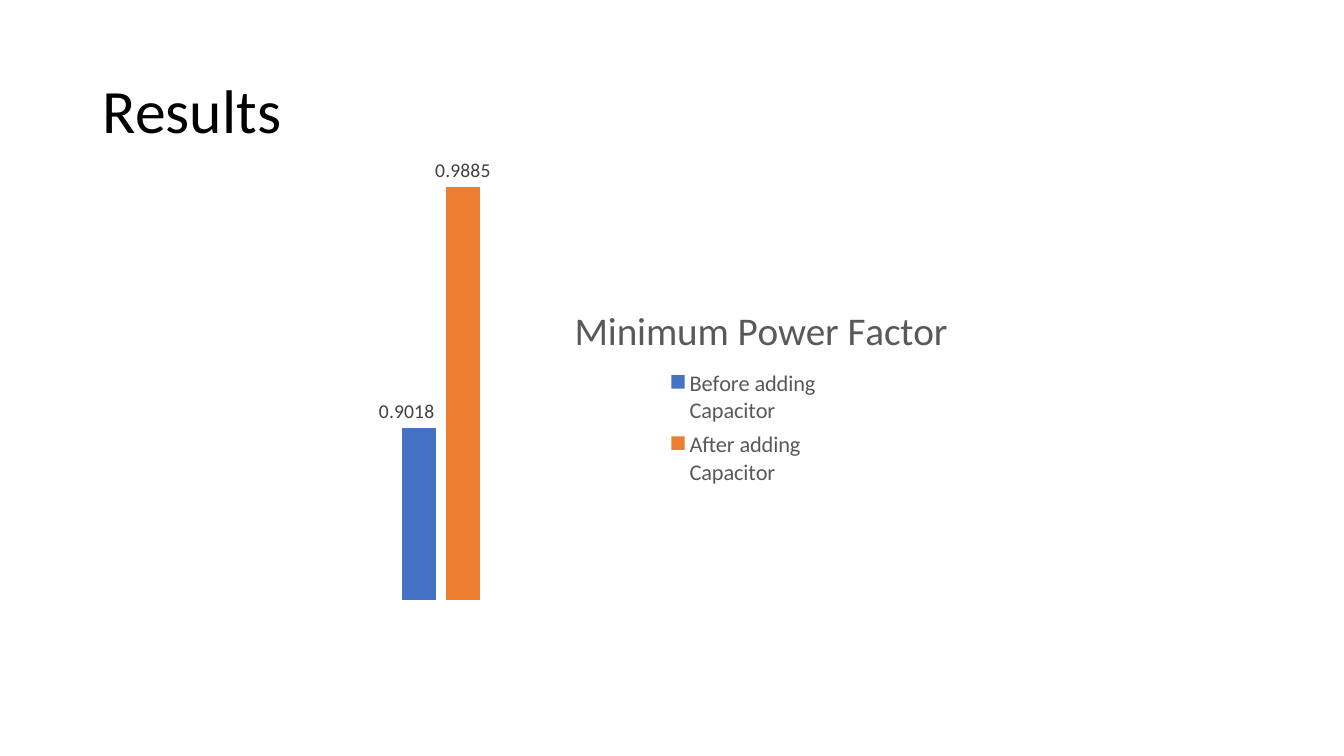
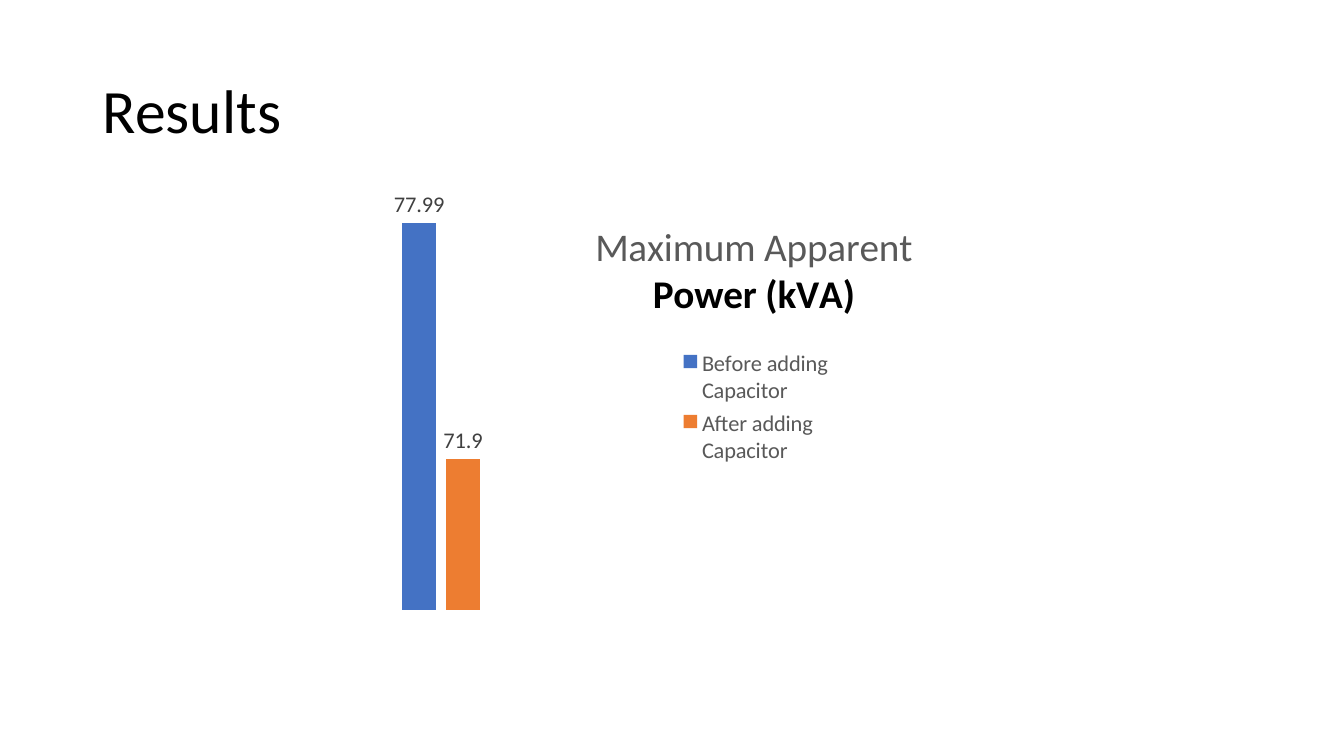
from lxml import etree
from pptx import Presentation
from pptx import util as u
from pptx.chart.data import CategoryChartData
from pptx.dml.color import RGBColor
from pptx.enum import chart as c, text as t
from pptx.oxml.ns import qn

COLORS = {
    "title": "000000",
    "before": "4472C4",
    "after": "ED7D31",
    "caption": "595959",
    "label": "404040",
}
FONT = "Calibri"
SERIES = {"before": "Before adding Capacitor", "after": "After adding Capacitor"}
CATEGORY_COUNT = 4  # only the first category holds values

RESULTS = [
    {
        "top": 1.54, "height": 4.41,
        "values": {"before": 0.9018, "after": 0.9885},
        "scale": (0.84, 1.0),
        "caption": [("Minimum Power Factor", "caption", False)],
        "caption_at": {"x": 0.33, "y": 0.32},
        "legend_at": {"x": 0.48, "y": 0.47, "w": 0.27, "h": 0.29},
        "label_size": 14,
        "label_shift": {"before": -0.02},
    },
    {
        "top": 1.44, "height": 4.61,
        "values": {"before": 77.99, "after": 71.9},
        "scale": (68, 80),
        "caption": [("Maximum Apparent", "caption", False),
                    ("Power (kVA)", "title", True)],
        "caption_at": {"x": 0.37, "y": 0.16},
        "legend_at": {"x": 0.5, "y": 0.43, "w": 0.27, "h": 0.27},
        "label_size": 16,
        "label_shift": {},
    },
]


def style_font(font, size, color, bold=False):
    font.name = FONT
    font.size = u.Pt(size)
    font.bold = bold
    font.color.rgb = RGBColor.from_string(COLORS[color])


def manual_layout(fractions, target=None, edge=True):
    """Return a c:layout; with edge, x and y count from the chart's corner."""
    layout = etree.Element(qn("c:layout"))
    manual = etree.SubElement(layout, qn("c:manualLayout"))
    settings = {"layoutTarget": target} if target else {}
    if edge:
        settings.update(xMode="edge", yMode="edge")
    settings.update(fractions)
    for name, value in settings.items():
        etree.SubElement(manual, qn("c:" + name)).set("val", str(value))
    return layout


def place(element, fractions):
    """Give a chart title or legend a fixed place."""
    for layout in element.findall(qn("c:layout")):
        element.remove(layout)
    element.find(qn("c:overlay")).addprevious(manual_layout(fractions))


def fill_plot_area(chart):
    plot_area = chart._chartSpace.chart.plotArea
    for layout in plot_area.findall(qn("c:layout")):
        plot_area.remove(layout)
    plot_area.insert(0, manual_layout({"x": 0, "y": 0, "w": 1, "h": 1}, "inner"))


def add_title(slide, wording):
    title = slide.shapes.title
    title.left, title.top = u.Inches(0.92), u.Inches(0.4)
    title.width, title.height = u.Inches(11.5), u.Inches(1.45)
    frame = title.text_frame
    frame.text = wording
    frame.vertical_anchor = t.MSO_ANCHOR.MIDDLE
    frame.auto_size = t.MSO_AUTO_SIZE.NONE
    paragraph = frame.paragraphs[0]
    paragraph.alignment = t.PP_ALIGN.LEFT
    paragraph.line_spacing = 0.9
    style_font(paragraph.runs[0].font, 44, "title")


def add_caption(chart, lines, position):
    chart.has_title = True
    frame = chart.chart_title.text_frame
    frame.text = "\n".join(wording for wording, _, _ in lines)
    for paragraph, (_, color, bold) in zip(frame.paragraphs, lines):
        style_font(paragraph.runs[0].font, 28, color, bold)
    place(chart.chart_title._element, position)


def add_legend(chart, position):
    chart.has_legend = True
    legend = chart.legend
    legend.position = c.XL_LEGEND_POSITION.RIGHT
    legend.include_in_layout = False
    style_font(legend.font, 16, "caption")
    place(legend._element, position)


def shift_first_label(series, size, shift):
    label = series.points[0].data_label
    style_font(label.font, size, "label")
    label.position = c.XL_LABEL_POSITION.OUTSIDE_END
    index = series._element.find(".//" + qn("c:dLbl") + "/" + qn("c:idx"))
    index.addnext(manual_layout({"x": shift, "y": 0}, edge=False))


def style_series(series, key, result):
    series.format.fill.solid()
    series.format.fill.fore_color.rgb = RGBColor.from_string(COLORS[key])
    labels = series.data_labels
    labels.show_value = True
    labels.position = c.XL_LABEL_POSITION.OUTSIDE_END
    labels.number_format = "General"
    labels.number_format_is_linked = False
    style_font(labels.font, result["label_size"], "label")
    if key in result["label_shift"]:
        shift_first_label(series, result["label_size"], result["label_shift"][key])


def add_result_chart(slide, result):
    data = CategoryChartData()
    blanks = CATEGORY_COUNT - 1
    data.categories = ["1"] + [""] * blanks
    for key, name in SERIES.items():
        data.add_series(name, [result["values"][key]] + [None] * blanks)
    chart = slide.shapes.add_chart(
        c.XL_CHART_TYPE.COLUMN_CLUSTERED, u.Inches(3.61), u.Inches(result["top"]),
        u.Inches(6.12), u.Inches(result["height"]), data).chart
    style_font(chart.font, 10, "title")

    plot = chart.plots[0]
    plot.gap_width, plot.overlap = 219, -27
    plot.vary_by_categories = False
    for key, series in zip(SERIES, plot.series):
        style_series(series, key, result)

    value_axis = chart.value_axis
    value_axis.minimum_scale, value_axis.maximum_scale = result["scale"]
    value_axis.has_major_gridlines = False
    value_axis.visible = chart.category_axis.visible = False

    fill_plot_area(chart)
    add_caption(chart, result["caption"], result["caption_at"])
    add_legend(chart, result["legend_at"])


def main():
    presentation = Presentation()
    presentation.slide_width = u.Inches(13.33)
    presentation.slide_height = u.Inches(7.5)
    title_only = presentation.slide_layouts[5]
    for result in RESULTS:
        slide = presentation.slides.add_slide(title_only)
        add_title(slide, "Results")
        add_result_chart(slide, result)
    presentation.save("out.pptx")


if __name__ == "__main__":
    main()
